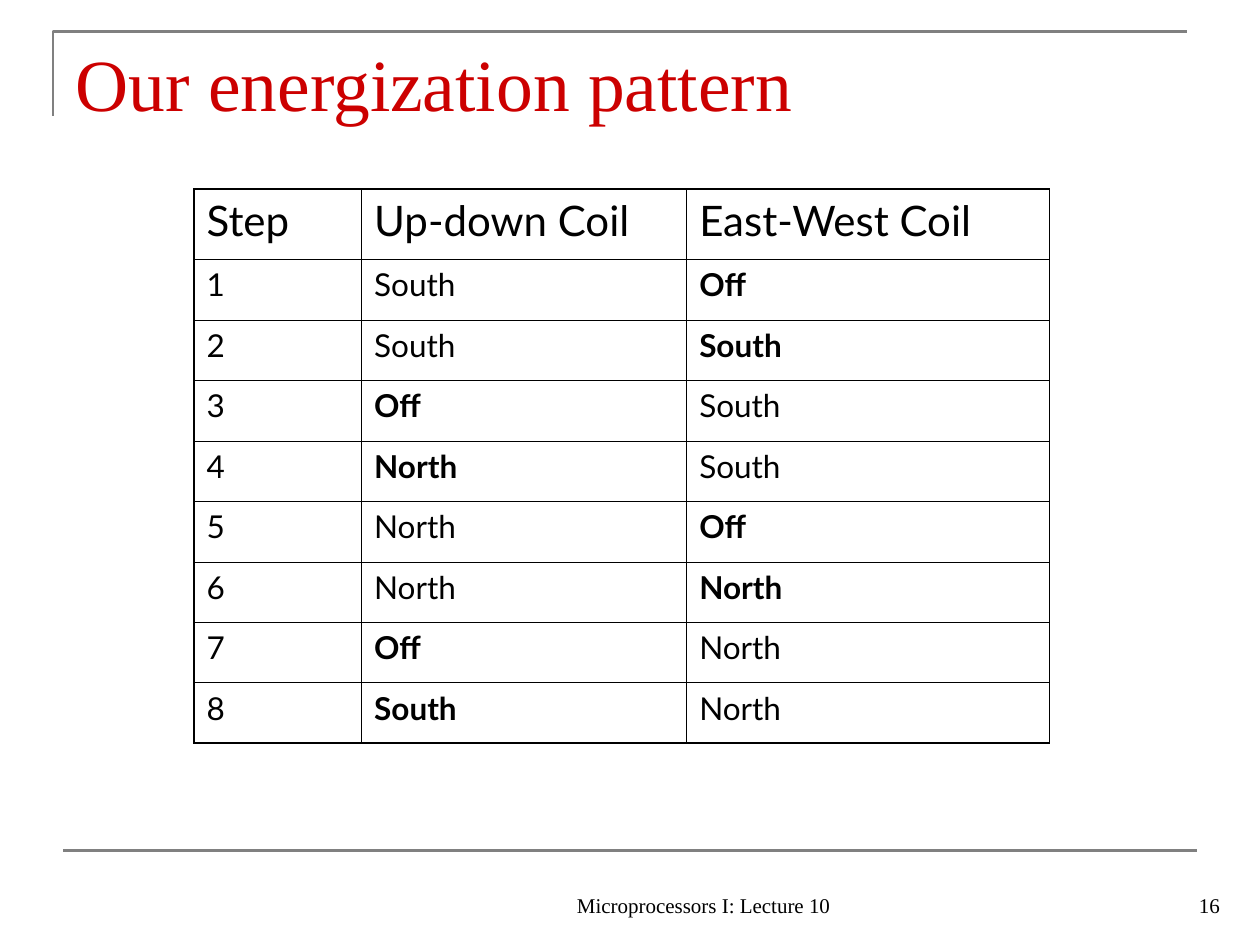
from lxml import etree
from pptx import Presentation
from pptx.dml.color import RGBColor
from pptx.enum.shapes import MSO_CONNECTOR
from pptx.enum.text import MSO_ANCHOR, PP_ALIGN
from pptx.oxml.ns import qn
from pptx.util import Inches, Pt

COLORS = {"title": "CC0000", "text": "000000", "rule": "808080", "border": "000000"}
SERIF, SANS = "Times New Roman", "Lato"
THICK, THIN = Pt(1.08), Pt(0.45)


def write(tf, text, color="text", align=PP_ALIGN.LEFT, **font):
    p = tf.paragraphs[0]
    p.alignment = align
    r = p.add_run()
    r.text = text
    r.font.color.rgb = RGBColor.from_string(COLORS[color])
    for name, value in font.items():
        setattr(r.font, name, value)


def add_border(cell, side, width):
    ln = etree.SubElement(cell._tc.get_or_add_tcPr(), qn(f"a:ln{side}"), w=str(width))
    fill = etree.SubElement(ln, qn("a:solidFill"))
    etree.SubElement(fill, qn("a:srgbClr"), val=COLORS["border"])


prs = Presentation()
prs.slide_width, prs.slide_height = Inches(10), Inches(7.5)
s = prs.slides.add_slide(prs.slide_layouts[5])

# Corner line and footer rule
builder = s.shapes.build_freeform(Inches(0.42), Inches(0.92))
builder.add_line_segments(
    [(Inches(0.42), Inches(0.25)), (Inches(9.42), Inches(0.25))], close=False)
corner = builder.convert_to_shape()
corner.shadow.inherit = False
corner.fill.background()
footer_rule = s.shapes.add_connector(
    MSO_CONNECTOR.STRAIGHT, Inches(0.5), Inches(6.75), Inches(9.5), Inches(6.75))
etree.SubElement(footer_rule._element.spPr, qn("a:effectLst"))
for shape in (corner, footer_rule):
    shape.line.color.rgb = RGBColor.from_string(COLORS["rule"])
    shape.line.width = Pt(1.5)

# Footer and slide number
for text, left, width, align in (
    ("Microprocessors I: Lecture 10", 4, 3.17, PP_ALIGN.CENTER),
    ("16", 7.7, 2.08, PP_ALIGN.RIGHT),
):
    tf = s.shapes.add_textbox(Inches(left), Inches(6.83), Inches(width), Inches(0.5)).text_frame
    tf.word_wrap = True
    tf.vertical_anchor = MSO_ANCHOR.BOTTOM
    write(tf, text, align=align, size=Pt(12), name=SERIF)

# Title
title = s.shapes.title
title.left, title.top, title.width, title.height = map(Inches, (0.5, 0.23, 9.28, 0.85))
title.text_frame.vertical_anchor = MSO_ANCHOR.MIDDLE
write(title.text_frame, "Our energization pattern", "title", size=Pt(42), name=SERIF)

# Energization table
header = ["Step", "Up-down Coil", "East-West Coil"]
up_down = ["South", "South", "Off", "North", "North", "North", "Off", "South"]
east_west = ["Off", "South", "South", "South", "Off", "North", "North", "North"]
steps = [str(n + 1) for n in range(len(up_down))]
rows = [header, *zip(steps, up_down, east_west)]
col_widths = [1.33, 2.58, 2.88]
row_heights = [0.56] + [0.48] * len(steps)
last_row, last_col = len(rows) - 1, len(header) - 1

table = s.shapes.add_table(
    len(rows), len(header), Inches(1.54), Inches(1.5),
    Inches(sum(col_widths)), Inches(sum(row_heights))).table
table.first_row = table.horz_banding = False
for col, width in zip(table.columns, col_widths):
    col.width = Inches(width)
for row, height in zip(table.rows, row_heights):
    row.height = Inches(height)

for i, values in enumerate(rows):
    for j, text in enumerate(values):
        cell = table.cell(i, j)
        # A coil state is bold when it differs from the step before, in a cycle
        previous = rows[i - 1 if i > 1 else last_row][j]
        changed = i > 0 and j > 0 and text != previous
        write(cell.text_frame, text, size=Pt(18 if i else 24), name=SANS, bold=changed)
        outer = {"L": j == 0, "R": j == last_col, "T": i == 0, "B": i == last_row}
        for side, is_outer in outer.items():
            add_border(cell, side, THICK if is_outer else THIN)
        cell.fill.background()

prs.save("out.pptx")
